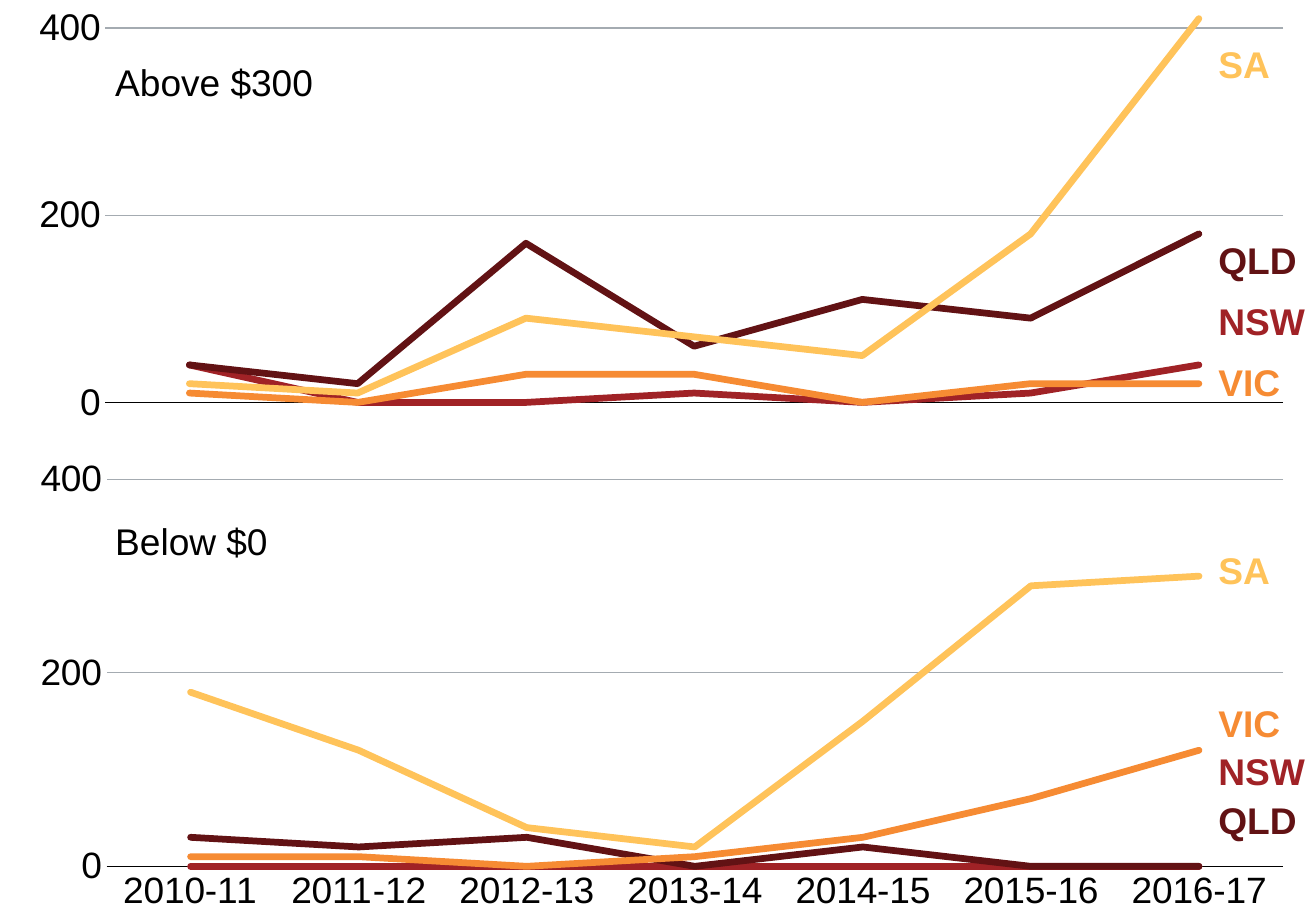
from dataclasses import dataclass

from lxml.etree import SubElement
from pptx import Presentation
from pptx.chart.axis import CategoryAxis, ValueAxis
from pptx.chart.chart import Chart
from pptx.chart.data import CategoryChartData
from pptx.dml.color import RGBColor
from pptx.dml.line import LineFormat
from pptx.enum.chart import XL_CHART_TYPE, XL_MARKER_STYLE, XL_TICK_LABEL_POSITION, XL_TICK_MARK
from pptx.enum.text import MSO_AUTO_SIZE
from pptx.oxml.ns import qn
from pptx.slide import Slide
from pptx.text.text import Font
from pptx.util import Cm, Pt

FONT_NAME = "Arial"
TEXT_SIZE = 22
BLACK = "000000"
GRID_GREY = "A4ABB1"
STATE_COLORS = {"NSW": "A02226", "QLD": "621214", "SA": "FFC35A", "VIC": "F68B33"}
STATE_LABEL_WIDTHS = {"NSW": 2.34, "QLD": 2.16, "SA": 1.6, "VIC": 1.83}
YEARS = ["2010-11", "2011-12", "2012-13", "2013-14", "2014-15", "2015-16", "2016-17"]
PLOT_AREA = {"x": 0.08, "y": 0.032, "w": 0.895, "h": 0.886}
TITLE_LEFT, STATE_LEFT, LABEL_HEIGHT = 2.16, 25.22, 1.19


@dataclass
class PricePanel:
    """One chart with its title and state labels; lengths are in centimetres."""
    title: str
    title_top: float
    title_width: float
    left: float
    top: float
    width: float
    height: float
    shows_years: bool
    counts: dict[str, list[int]]
    state_tops: dict[str, float]


PANELS = [
    PricePanel(
        "Below $0", 10.72, 3.73, 0.03, 9.42, 27.48, 9.63, True,
        {
            "NSW": [0, 0, 0, 0, 0, 0, 0],
            "QLD": [30, 20, 30, 0, 20, 0, 0],
            "SA": [180, 120, 40, 20, 150, 290, 300],
            "VIC": [10, 10, 0, 10, 30, 70, 120],
        },
        {"SA": 11.33, "VIC": 14.53, "NSW": 15.52, "QLD": 16.54},
    ),
    PricePanel(
        "Above $300", 1.12, 4.7, 0, 0, 27.51, 9.17, False,
        {
            "NSW": [40, 0, 0, 10, 0, 10, 40],
            "QLD": [40, 20, 170, 60, 110, 90, 180],
            "SA": [20, 10, 90, 70, 50, 180, 410],
            "VIC": [10, 0, 30, 30, 0, 20, 20],
        },
        {"SA": 0.74, "QLD": 4.85, "NSW": 6.12, "VIC": 7.39},
    ),
]


def rgb(color: str) -> RGBColor:
    return RGBColor.from_string(color)


def style_font(font: Font, color: str = BLACK, bold: bool = False) -> None:
    font.name = FONT_NAME
    font.size = Pt(TEXT_SIZE)
    font.bold = bold
    font.color.rgb = rgb(color)


def style_line(line: LineFormat, color: str, width: float) -> None:
    line.color.rgb = rgb(color)
    line.width = Pt(width)


def style_axis(axis: CategoryAxis | ValueAxis) -> None:
    axis.major_tick_mark = XL_TICK_MARK.NONE
    axis.minor_tick_mark = XL_TICK_MARK.NONE
    style_font(axis.tick_labels.font)


def set_plot_area(chart: Chart) -> None:
    """Fix the inner plot area as fractions of the chart's size."""
    plot_area = chart.element.find(f".//{qn('c:plotArea')}")
    for old_layout in plot_area.findall(qn("c:layout")):
        plot_area.remove(old_layout)
    layout = SubElement(plot_area, qn("c:layout"))
    plot_area.insert(0, layout)
    manual = SubElement(layout, qn("c:manualLayout"))
    settings = {"layoutTarget": "inner", "xMode": "edge", "yMode": "edge"} | PLOT_AREA
    for tag, value in settings.items():
        SubElement(manual, qn(f"c:{tag}")).set("val", str(value))


def add_price_chart(slide: Slide, panel: PricePanel) -> None:
    data = CategoryChartData()
    data.categories = YEARS
    for state, counts in panel.counts.items():
        data.add_series(state, counts)
    chart = slide.shapes.add_chart(
        XL_CHART_TYPE.LINE, Cm(panel.left), Cm(panel.top), Cm(panel.width), Cm(panel.height), data
    ).chart
    chart.has_legend = False
    chart.has_title = False
    style_font(chart.font)
    set_plot_area(chart)

    years = chart.category_axis
    style_axis(years)
    style_line(years.format.line, BLACK, 0.75)
    years.has_major_gridlines = False
    if not panel.shows_years:
        years.tick_label_position = XL_TICK_LABEL_POSITION.NONE

    scale = chart.value_axis
    style_axis(scale)
    scale.format.line.fill.background()
    scale.minimum_scale, scale.maximum_scale, scale.major_unit = 0, 415, 200
    style_line(scale.major_gridlines.format.line, GRID_GREY, 0.75)

    chart.plots[0].vary_by_categories = False
    for series in chart.plots[0].series:
        series.smooth = False
        series.marker.style = XL_MARKER_STYLE.NONE
        style_line(series.format.line, STATE_COLORS[series.name], 4)
        series.format.line.dash_style = None
        series._element.find(f"{qn('c:spPr')}/{qn('a:ln')}").set("cap", "rnd")


def add_label(slide: Slide, text: str, left: float, top: float, width: float,
              color: str = BLACK, bold: bool = False) -> None:
    frame = slide.shapes.add_textbox(Cm(left), Cm(top), Cm(width), Cm(LABEL_HEIGHT)).text_frame
    frame.word_wrap = False
    frame.auto_size = MSO_AUTO_SIZE.SHAPE_TO_FIT_TEXT
    paragraph = frame.paragraphs[0]
    paragraph.text = text
    style_font(paragraph.font, color, bold)


def main() -> None:
    presentation = Presentation()
    presentation.slide_width, presentation.slide_height = Cm(27.51), Cm(19.05)
    slide = presentation.slides.add_slide(presentation.slide_layouts[6])
    for panel in PANELS:
        add_price_chart(slide, panel)
    for panel in PANELS:
        add_label(slide, panel.title, TITLE_LEFT, panel.title_top, panel.title_width)
        for state, top in panel.state_tops.items():
            add_label(slide, state, STATE_LEFT, top, STATE_LABEL_WIDTHS[state],
                      STATE_COLORS[state], bold=True)
    presentation.save("out.pptx")


if __name__ == "__main__":
    main()
